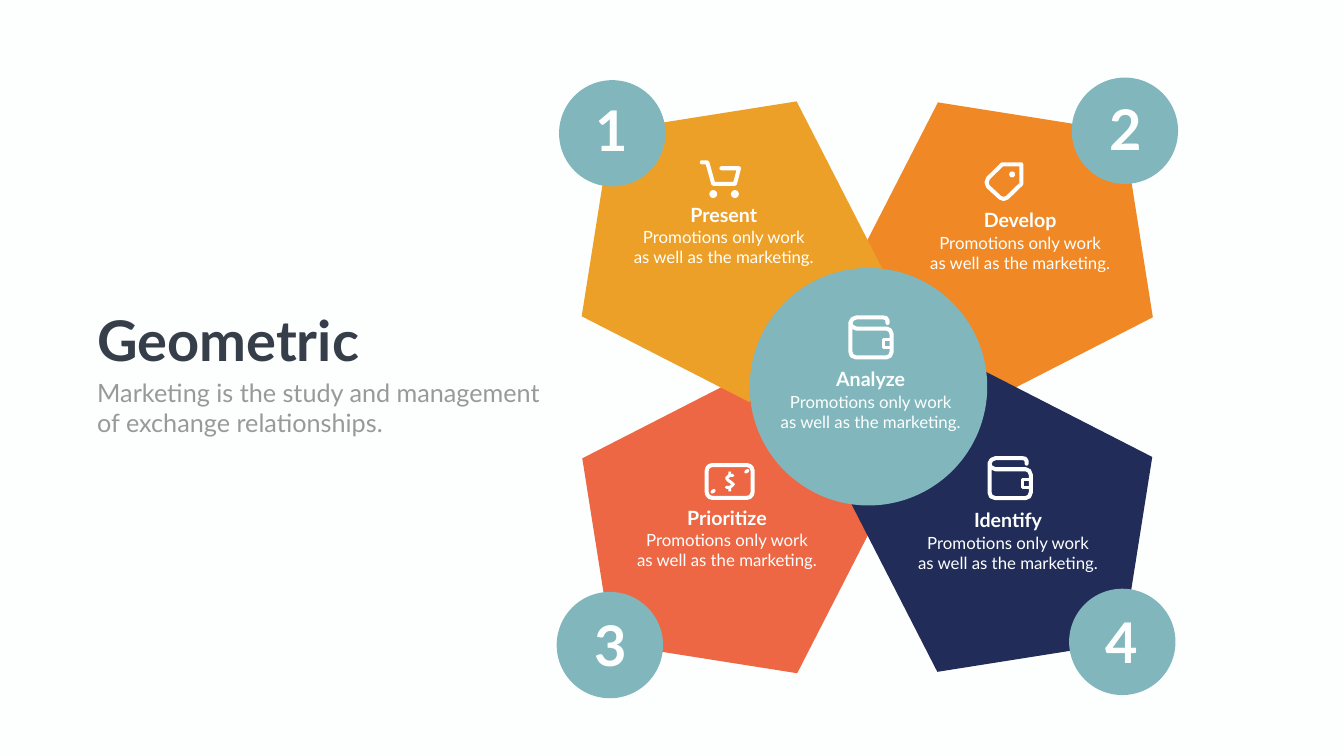
from lxml import etree
from pptx import Presentation
from pptx.dml.color import RGBColor
from pptx.enum.shapes import MSO_SHAPE as SHAPE
from pptx.enum.text import MSO_AUTO_SIZE as AUTO, PP_ALIGN as ALIGN
from pptx.oxml.ns import qn
from pptx.util import Cm, Pt

PAPER = RGBColor(0xFD, 0xFF, 0xFE)
WHITE = RGBColor(0xFF, 0xFF, 0xFF)
TEAL = RGBColor(0x81, 0xB7, 0xBC)
GOLD = RGBColor(0xED, 0xA0, 0x27)
ORANGE = RGBColor(0xEF, 0x88, 0x25)
CORAL = RGBColor(0xED, 0x67, 0x44)
NAVY = RGBColor(0x21, 0x2C, 0x58)
SLATE = RGBColor(0x35, 0x3E, 0x49)
GRAY = RGBColor(0x98, 0x99, 0x98)
THICK, THIN = 5.75, 4.25  # icon strokes in points


def add_text(text, x, y, w, h, size, color=PAPER, bold=False, align=ALIGN.LEFT, wrap=True):
    tf = s.shapes.add_textbox(Cm(x), Cm(y), Cm(w), Cm(h)).text_frame
    tf.word_wrap = wrap
    tf.auto_size = AUTO.SHAPE_TO_FIT_TEXT
    for i, line in enumerate(text.split("\n")):
        p = tf.paragraphs[0] if i == 0 else tf.add_paragraph()
        p.alignment = align
        r = p.add_run()
        r.text = line
        r.font.name, r.font.size, r.font.bold = "Lato", Pt(size), bold
        r.font.color.rgb = color


def add_figure(outline, box=None, fill=None, stroke=None, close=True):
    """Draw a preset shape in a box, or a list of points, in cm; stroke is a white line in points."""
    if box:
        sp = s.shapes.add_shape(outline, *map(Cm, box))
    else:
        points = [(x * 100, y * 100) for x, y in outline]
        builder = s.shapes.build_freeform(*points[0], scale=Cm(0.01))
        builder.add_line_segments(points[1:], close=close)
        sp = builder.convert_to_shape()
    sp.shadow.inherit = False
    if fill is None:
        sp.fill.background()
    else:
        sp.fill.solid()
        sp.fill.fore_color.rgb = fill
    if stroke is None:
        sp.line.fill.background()
    else:
        sp.line.color.rgb = WHITE
        sp.line.width = Pt(stroke)
        ln = sp.element.spPr.find(qn("a:ln"))
        ln.set("cap", "rnd")
        etree.SubElement(ln, qn("a:round"))
    return sp


prs = Presentation()
prs.slide_width, prs.slide_height = Cm(67.72), Cm(38.1)
s = prs.slides.add_slide(prs.slide_layouts[6])
s.background.fill.solid()
s.background.fill.fore_color.rgb = PAPER

# Four petals: one pentagon, mirrored out from each outer corner
PENTAGON = [(1.48, 1.48), (0, 10.83), (8.44, 15.15), (15.15, 8.44), (10.83, 0)]
for x, y, x_sign, y_sign, color in [
    (58.09, 5.16, -1, 1, ORANGE),
    (29.34, 33.93, 1, -1, CORAL),
    (58.06, 33.86, -1, -1, NAVY),
    (29.31, 5.11, 1, 1, GOLD),
]:
    add_figure([(x + x_sign * dx, y + y_sign * dy) for dx, dy in PENTAGON], fill=color)

# Centre circle and number badges
for cx, cy, d in [
    (43.76, 19.49, 11.97),
    (30.85, 6.72, 5.36),
    (56.68, 6.59, 5.36),
    (30.73, 32.51, 5.36),
    (56.55, 32.35, 5.36),
]:
    add_figure(SHAPE.OVAL, (cx - d / 2, cy - d / 2, d, d), fill=TEAL)

# Cart icon
add_figure([(35.36, 8.18), (35.64, 8.18), (35.94, 9.27), (37.03, 9.27), (37.24, 8.48), (36.35, 8.48)],
           stroke=THICK, close=False)
for x in (35.74, 36.83):
    add_figure(SHAPE.OVAL, (x, 9.58, 0.4, 0.4), fill=WHITE)

# Tag icon
add_figure([(50.5, 8.28), (51.46, 8.28), (51.46, 9.27), (50.75, 9.96), (50.57, 10.03),
            (50.39, 9.96), (49.78, 9.4), (49.71, 9.2), (49.78, 8.99)], stroke=THICK)
add_figure(SHAPE.OVAL, (50.85, 8.64, 0.3, 0.3), fill=WHITE)

# Banknote icon
note = add_figure(SHAPE.ROUNDED_RECTANGLE, (35.61, 23.44, 2.31, 1.65), stroke=THICK)
note.adjustments[0] = 0.17
add_figure([(36.93, 23.96), (36.75, 23.96), (36.6, 24.1), (36.75, 24.26), (36.78, 24.26),
            (36.95, 24.41), (36.78, 24.56), (36.6, 24.56)], stroke=THIN, close=False)
for y in (23.77, 24.56):
    add_figure(SHAPE.RECTANGLE, (36.7, y, 0.14, 0.2), fill=WHITE)
for x, y in [(37.49, 23.66), (35.79, 24.67)]:
    add_figure(SHAPE.OVAL, (x, y, 0.28, 0.18), fill=WHITE).rotation = -36

# Wallet icons
WALLET = [(2, 0.38), (2, 0.25), (1.93, 0.13), (1.78, 0.1), (0.43, 0.1), (0.23, 0.18), (0.13, 0.36),
          (0.13, 1.83), (0.2, 2.03), (0.41, 2.11), (1.96, 2.11), (2.13, 2.03), (2.21, 1.83),
          (2.21, 0.94), (2.13, 0.74), (1.96, 0.66), (0.43, 0.66), (0.2, 0.56), (0.13, 0.38)]
for x, y in [(49.73, 22.99), (42.72, 15.9)]:
    add_figure([(x + dx, y + dy) for dx, dy in WALLET], stroke=THICK, close=False)
    add_figure(SHAPE.RECTANGLE, (x + 1.78, y + 1.19, 0.43, 0.41), stroke=THIN)

# Heading
add_text("Geometric", 4.65, 15.27, 13.94, 3.68, size=80, color=SLATE, bold=True, wrap=False)
add_text("Marketing is the study and management\nof exchange relationships.",
         4.65, 18.87, 24.74, 3.33, size=36, color=GRAY)

# Badge numbers
for number, x, y in [("1", 29.77, 4.67), ("2", 55.68, 4.65), ("3", 29.72, 30.66), ("4", 55.47, 30.51)]:
    add_text(number, x, y, 2.16, 3.68, size=80, bold=True, wrap=False)

# Captions, each centred on cx
for title, cx, y in [
    ("Present", 36.47, 10.08),
    ("Develop", 51.4, 10.36),
    ("Identify", 50.79, 25.48),
    ("Prioritize", 36.63, 25.35),
    ("Analyze", 43.87, 18.39),
]:
    add_text(title, cx - 3.05, y, 6.1, 1.45, size=28, bold=True, align=ALIGN.CENTER)
    add_text("Promotions only work\nas well as the marketing.",
             cx - 5.41, y + 1.22, 10.82, 2.31, size=24, align=ALIGN.CENTER)

prs.save("out.pptx")
